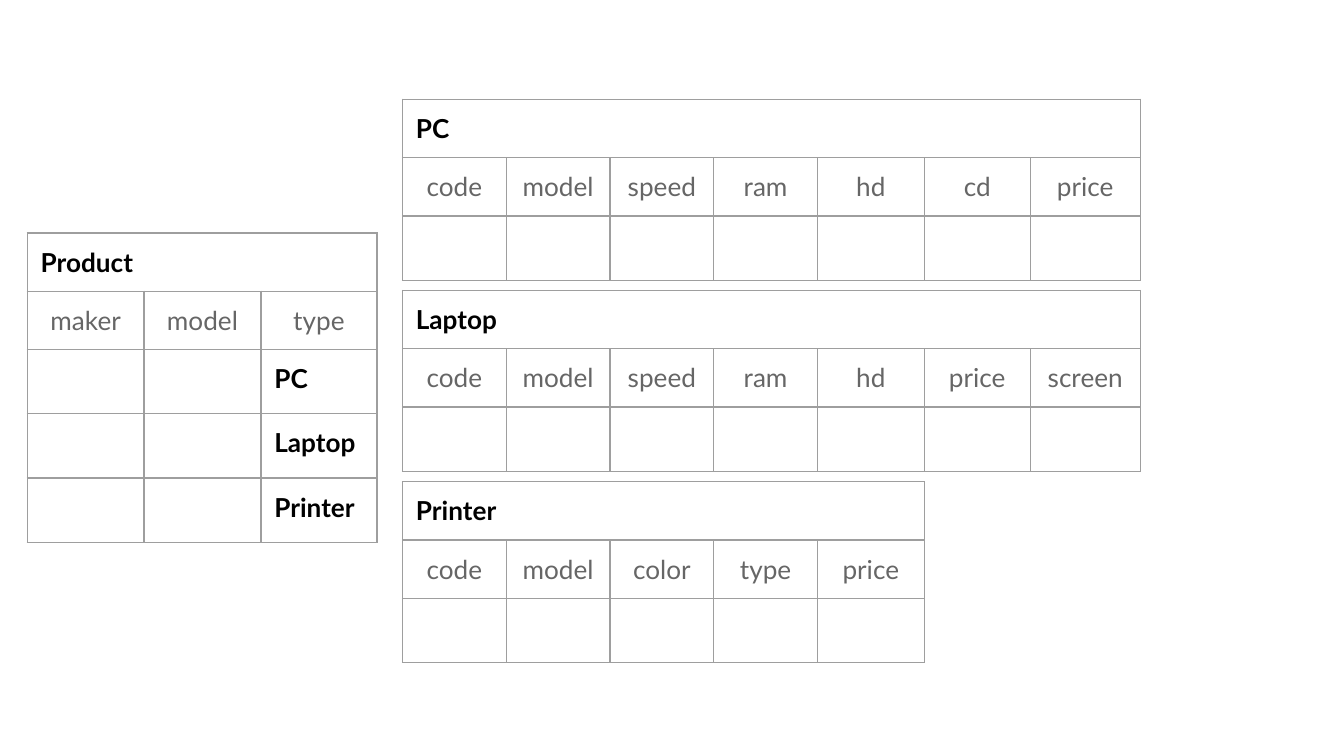
from lxml import etree
from pptx import Presentation
from pptx.dml.color import RGBColor
from pptx.enum.text import PP_ALIGN
from pptx.oxml.ns import qn
from pptx.util import Pt

LEFT, MID = PP_ALIGN.LEFT, PP_ALIGN.CENTER

THEME = {
    "font": "Lato", "size": 14, "line": "9E9E9E", "width": 0.75, "pad": 7.2,
    "bold": {"color": "000000", "bold": True, "align": LEFT},
    "head": {"color": "666666", "bold": False, "align": MID},
}

SIDE = {"x": 14.6, "y": 124.8, "cols": [62.6, 62.6, 62.2]}
MAIN = {"x": 215.6, "y": 53.2, "step": 102.4,
        "cols": [55.6, 55.6, 55.6, 55.6, 57.2, 56.8, 59]}
TEXT_ROW, DATA_ROW = 31.2, 34.4

PRODUCT = ("Product", ["maker", "model", "type"],
           [["", "", "PC"], ["", "", "Laptop"], ["", "", "Printer"]])
KINDS = [
    ("PC", ["code", "model", "speed", "ram", "hd", "cd", "price"]),
    ("Laptop", ["code", "model", "speed", "ram", "hd", "price", "screen"]),
    ("Printer", ["code", "model", "color", "type", "price"]),
]


def border(cell):
    props = cell._tc.get_or_add_tcPr()
    for spot, side in enumerate(("lnL", "lnR", "lnT", "lnB")):
        line = etree.Element(qn("a:" + side), w=str(Pt(THEME["width"])))
        fill = etree.SubElement(line, qn("a:solidFill"))
        etree.SubElement(fill, qn("a:srgbClr"), val=THEME["line"])
        props.insert(spot, line)


def write(cell, text, look):
    for side in ("left", "right", "top", "bottom"):
        setattr(cell, "margin_" + side, Pt(THEME["pad"]))
    cell.fill.background()
    border(cell)
    para = cell.text_frame.paragraphs[0]
    para.alignment = look["align"]
    if not text:
        para._p.get_or_add_endParaRPr().set("sz", str(THEME["size"] * 100))
        return
    run = para.add_run()
    run.text = text
    form = {"name": THEME["font"], "size": Pt(THEME["size"]), "bold": look["bold"]}
    for key, val in form.items():
        setattr(run.font, key, val)
    run.font.color.rgb = RGBColor.from_string(look["color"])


def draw(slide, x, y, cols, title, heads, data):
    count = len(heads)
    cols = cols[:count]
    rows = [[title] + [""] * (count - 1), heads] + data
    highs = [TEXT_ROW] * 2 + [DATA_ROW] * len(data)
    table = slide.shapes.add_table(
        len(rows), count, Pt(x), Pt(y), Pt(sum(cols)), Pt(sum(highs))).table
    for flag in ("first_row", "horz_banding"):
        setattr(table, flag, False)
    for col, wide in zip(table.columns, cols):
        col.width = Pt(wide)
    for row, high in zip(table.rows, highs):
        row.height = Pt(high)
    for r, row in enumerate(rows):
        look = THEME["head" if r == 1 else "bold"]
        for c, text in enumerate(row):
            write(table.cell(r, c), text, look)
    table.cell(0, 0).merge(table.cell(0, count - 1))


def main():
    deck = Presentation()
    deck.slide_width, deck.slide_height = Pt(720), Pt(405)
    slide = deck.slides.add_slide(deck.slide_layouts[6])
    draw(slide, SIDE["x"], SIDE["y"], SIDE["cols"], *PRODUCT)
    for i, (title, heads) in enumerate(KINDS):
        top = MAIN["y"] + i * MAIN["step"]
        draw(slide, MAIN["x"], top, MAIN["cols"], title, heads, [[""] * len(heads)])
    deck.save("out.pptx")


if __name__ == "__main__":
    main()
